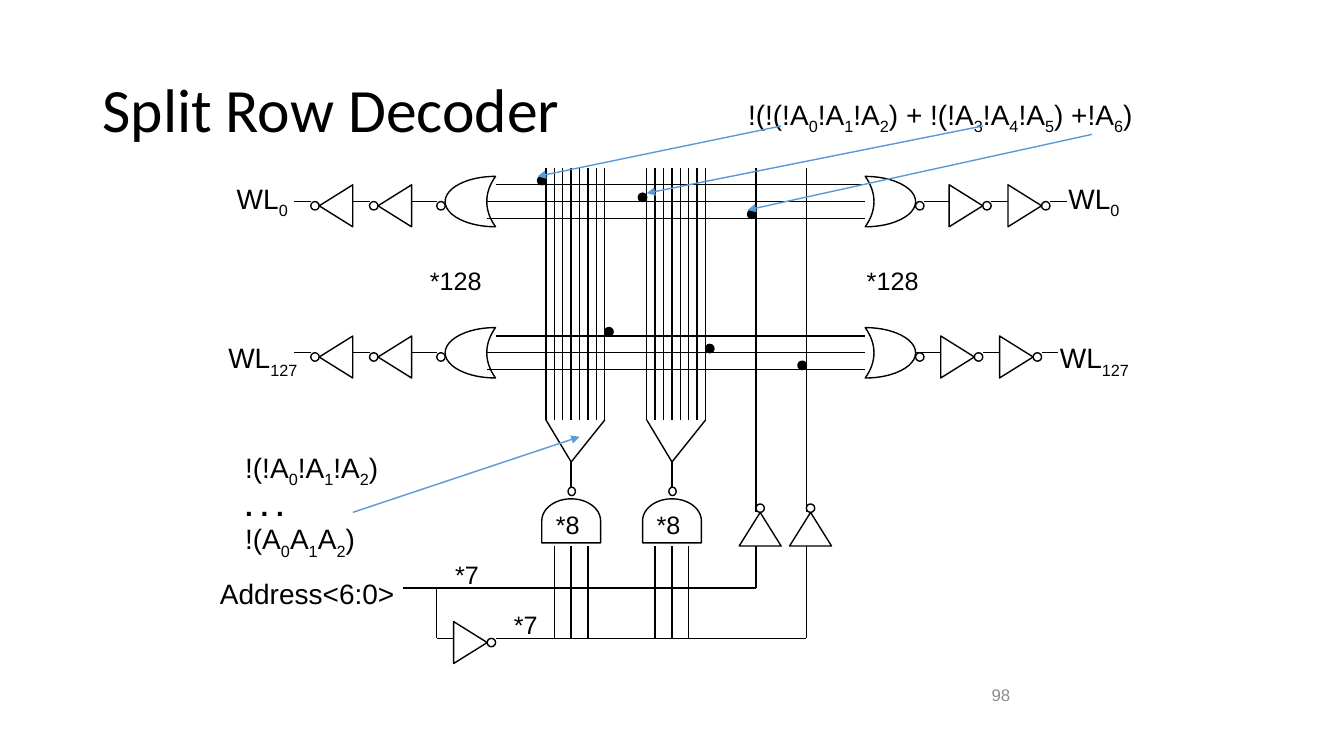
from collections import namedtuple
from itertools import groupby

from lxml import etree
from pptx import Presentation
from pptx.dml.color import RGBColor
from pptx.enum.shapes import MSO_CONNECTOR, MSO_SHAPE as Preset
from pptx.enum.text import MSO_ANCHOR, MSO_AUTO_SIZE, PP_ALIGN
from pptx.oxml.ns import qn
from pptx.util import Pt

EMU_PER_PX = 9525
Box = namedtuple("Box", "left top width height")


class Theme:
    title_font, body_font = "Calibri", "Arial"
    title_size, formula_size, count_size, number_size = 44, 20, 18, 12
    line_width = 1
    ink = RGBColor(0, 0, 0)
    accent = RGBColor(0x5B, 0x9B, 0xD5)
    muted = RGBColor(0x8C, 0x8C, 0x8C)


def px(length):
    return int(length * EMU_PER_PX)


def add_symbol(slide, preset, box, rotation=0, filled=False):
    """Draw a preset whose box is the area it covers after quarter-turn rotation."""
    left, top, width, height = box
    if rotation in (90, 270):
        left, top = left + (width - height) / 2, top + (height - width) / 2
        width, height = height, width
    shape = slide.shapes.add_shape(preset, px(left), px(top), px(width), px(height))
    shape.rotation = rotation
    shape.shadow.inherit = False
    if filled:
        shape.fill.solid()
        shape.fill.fore_color.rgb = Theme.ink
    else:
        shape.fill.background()
    shape.line.color.rgb = Theme.ink
    shape.line.width = Pt(Theme.line_width)
    return shape


def add_bubble(slide, left, top, filled=False, width=8):
    add_symbol(slide, Preset.OVAL, Box(left, top, width, 8), filled=filled)


def add_wire(slide, x1, y1, x2, y2, color=Theme.ink):
    wire = slide.shapes.add_connector(
        MSO_CONNECTOR.STRAIGHT, px(x1), px(y1), px(x2), px(y2))
    wire.line.color.rgb = color
    wire.line.width = Pt(Theme.line_width)
    etree.SubElement(wire._element.spPr, qn("a:effectLst"))
    return wire


def add_arrow(slide, x1, y1, x2, y2):
    arrow = add_wire(slide, x1, y1, x2, y2, Theme.accent)
    etree.SubElement(arrow.line._get_or_add_ln(), qn("a:tailEnd"), type="triangle")


def style_font(font, size, color=Theme.ink, name=Theme.body_font):
    font.size, font.name = Pt(size), name
    font.color.rgb = color


def add_label(slide, text, box, size=Theme.count_size, color=Theme.ink):
    label = slide.shapes.add_textbox(*map(px, box))
    frame = label.text_frame
    frame.word_wrap = True
    frame.text = text
    style_font(frame.paragraphs[0].runs[0].font, size, color)
    return label


def add_formula(slide, lines, box, align=PP_ALIGN.LEFT):
    """Write lines of logic in which every number is a subscript."""
    frame = slide.shapes.add_textbox(*map(px, box)).text_frame
    frame.word_wrap = True
    frame.auto_size = MSO_AUTO_SIZE.SHAPE_TO_FIT_TEXT
    for index, line in enumerate(lines):
        paragraph = frame.add_paragraph() if index else frame.paragraphs[0]
        paragraph.alignment = align
        for is_number, letters in groupby(line, str.isdigit):
            run = paragraph.add_run()
            run.text = "".join(letters)
            style_font(run.font, Theme.formula_size)
            run.font.bold = line == ". . ."
            if is_number:
                run.font._element.set("baseline", "-25000")


def add_inverter(slide, left, top, direction):
    width, height, rotation, bubble_x, bubble_y = {
        "right": (32, 40, 90, 32, 16),
        "left": (32, 40, 270, -8, 16),
        "up": (40, 32, 0, 16, -8),
    }[direction]
    add_symbol(slide, Preset.ISOSCELES_TRIANGLE, Box(left, top, width, height), rotation)
    add_bubble(slide, left + bubble_x, top + bubble_y)


def draw_title(slide, box):
    title = slide.shapes.title
    title.left, title.top, title.width, title.height = map(px, box)
    frame = title.text_frame
    frame.text = "Split Row Decoder"
    frame.auto_size = MSO_AUTO_SIZE.NONE
    frame.vertical_anchor = MSO_ANCHOR.MIDDLE
    paragraph = frame.paragraphs[0]
    paragraph.alignment, paragraph.line_spacing = PP_ALIGN.LEFT, 0.9
    style_font(paragraph.runs[0].font, Theme.title_size, name=Theme.title_font)


def draw_word_line_row(slide, box, driver_gap):
    """Draw two NOR gates with shared inputs and an inverter chain at each end."""
    left, top, width, height = box
    middle = top + 24
    left_gate, right_gate = left + 144, left + 544
    for gate, rotation, bubble in ((left_gate, 0, -8), (right_gate, 180, 48)):
        moon = add_symbol(slide, Preset.MOON, Box(gate, top, 48, height), rotation)
        moon.adjustments[0] = 0.826
        add_bubble(slide, gate + bubble, middle)
    for input_x, offset in ((48, -16), (40, 0), (40, 16)):
        add_wire(slide, left_gate + input_x, middle + offset, right_gate, middle + offset)

    for inverter in (left + 24, left + 80):
        add_inverter(slide, inverter, top + 8, "left")
        add_wire(slide, inverter - 24, middle, inverter - 8, middle)
    add_wire(slide, left + 112, middle, left_gate - 8, middle)

    driver = right_gate + 48 + driver_gap
    add_wire(slide, driver - 24, middle, driver, middle)
    for inverter in (driver, driver + 56):
        add_inverter(slide, inverter, top + 8, "right")
        add_wire(slide, inverter + 40, middle, inverter + 56, middle)


def draw_predecoder(slide, box):
    """Draw an eight-wire bus that funnels down into a NAND gate with three inputs."""
    left, top, width, height = box
    center, funnel = left + 24, top + 240
    for x in range(left, left + width + 1, 8):
        add_wire(slide, x, top, x, funnel)
    for x in (left, left + width):
        add_wire(slide, x, funnel, center, funnel + 40)
    add_wire(slide, center, funnel + 40, center, funnel + 64)
    add_bubble(slide, center - 3, funnel + 64, width=7)
    add_symbol(slide, Preset.FLOWCHART_DELAY, Box(center - 28, top + 315, 56, 42), 270)
    for x in (center - 16, center, center + 16):
        add_wire(slide, x, top + 360, x, top + height)
    add_label(slide, "*8", Box(left, top + 320, 48, 38))


def draw_select_line(slide, box):
    """Draw one column driven from below by an inverter."""
    left, top, width, height = box
    center = left + 16
    add_wire(slide, center, top, center, top + 328)
    add_inverter(slide, left, top + 328, "up")
    add_wire(slide, center, top + 360, center, top + height)


def draw_address_input(slide, box):
    left, top, width, height = box
    true_y, inverted_y = top + 16, top + 64
    add_formula(slide, ["Address<6:0>"], Box(left, top, 192, 41))
    # The address range is plain text, so its digits stay on the line.
    for run in slide.shapes[-1].text_frame.paragraphs[0].runs:
        run.font._element.attrib.pop("baseline", None)
    add_wire(slide, left + 184, true_y, left + 520, true_y)
    add_wire(slide, left + 216, true_y, left + 216, inverted_y)
    add_wire(slide, left + 216, inverted_y, left + 232, inverted_y)
    add_inverter(slide, left + 232, inverted_y - 16, "right")
    add_wire(slide, left + 272, inverted_y, left + width, inverted_y)
    for x, y in ((224, -16), (280, 32)):
        add_label(slide, "*7", Box(left + x, top + y, 48, 38))


def draw_annotations(slide, box):
    left, top, width, height = box
    for x, y in ((512, 168), (608, 184), (712, 200), (576, 312), (672, 328), (760, 344)):
        add_bubble(slide, left + x, top + y, filled=True)
    add_formula(slide, ["!(!A0!A1!A2)", ". . .", "!(A0A1A2)"],
                Box(left + 224, top + 424, 168, 106))
    add_formula(slide, ["!(!(!A0!A1!A2) + !(!A3!A4!A5) +!A6)"],
                Box(left + 584, top + 88, 504, 41), PP_ALIGN.RIGHT)
    for x1, y1, x2, y2 in ((336, 488, 552, 416), (744, 120, 512, 168),
                           (936, 120, 616, 184), (1040, 128, 712, 200)):
        add_arrow(slide, left + x1, top + y1, left + x2, top + y2)
    for name, x, y, label_width in (("WL0", 216, 168, 72), ("WL0", 1008, 168, 72),
                                    ("WL127", 208, 320, 96), ("WL127", 1000, 320, 96)):
        add_formula(slide, [name], Box(left + x, top + y, label_width, 41))
    for x in (400, 816):
        add_label(slide, "*128", Box(left + x, top + 248, 80, 38))


def main():
    presentation = Presentation()
    presentation.slide_width, presentation.slide_height = px(1280), px(720)
    slide = presentation.slides.add_slide(presentation.slide_layouts[5])
    draw_title(slide, Box(88, 38, 1104, 139))
    for top, driver_gap in ((168, 32), (312, 24)):
        draw_word_line_row(slide, Box(280, top, 736, 48), driver_gap)
    for left in (520, 616):
        draw_predecoder(slide, Box(left, 160, 56, 448))
    for left, height in ((704, 400), (752, 448)):
        draw_select_line(slide, Box(left, 160, 40, height))
    draw_address_input(slide, Box(200, 544, 568, 88))
    draw_annotations(slide, Box(0, 0, 1280, 720))
    number = add_label(slide, "98", Box(935, 639, 64, 45), Theme.number_size, Theme.muted)
    number.text_frame.vertical_anchor = MSO_ANCHOR.MIDDLE
    presentation.save("out.pptx")


if __name__ == "__main__":
    main()
